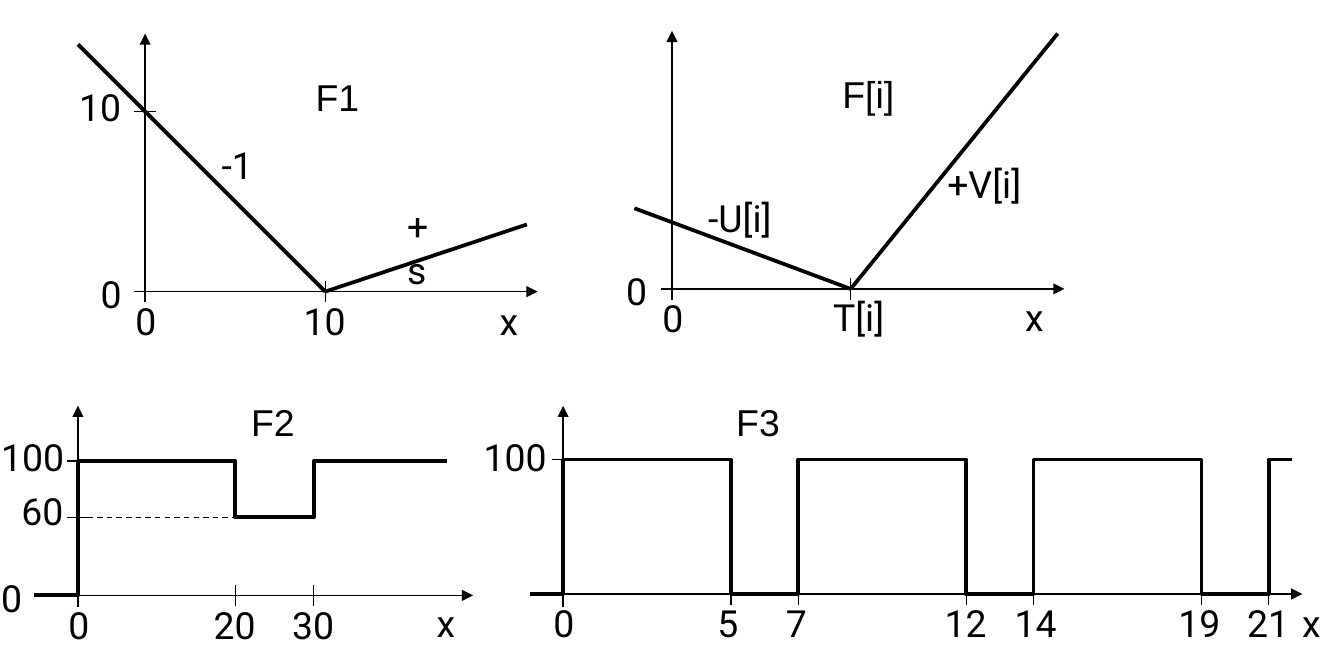
from lxml import etree
from pptx import Presentation
from pptx.dml.color import RGBColor
from pptx.enum.dml import MSO_LINE_DASH_STYLE as Dash
from pptx.enum.shapes import MSO_CONNECTOR as Connector
from pptx.enum.text import MSO_AUTO_SIZE as AutoSize
from pptx.oxml.ns import qn
from pptx.util import Cm, Pt

COLORS = {"ink": "000000", "background": "FFFFFF"}
FONT_SIZE, THIN, THICK = 20, 0.75, 2
TICK = 0.08  # half length of a tick, in inches
LABEL_HEIGHT = 0.44
NUDGES = {"0": 0.01, "5": -0.02, "7": -0.01, "14": 0.02, "19": -0.01}

# Places are in inches; ticks and curves are in the units of each plot.
# Labels are (text, left, top, width); the title is set in Arial.
PLOTS = [
    {
        "origin": (1.08, 2.17), "unit": (0.134, 0.134),
        "axis_start": (1.08, 2.17), "axis_end": (4, 0.25),
        "x_ticks": {0: "0", 10: "10"}, "y_ticks": [0, 10],
        "title": ("F1", 2.25, 0.5, 0.6),
        "labels": [("0", 0.65, 1.97, 0.36), ("10", 0.49, 0.58, 0.52),
                   ("-1", 1.55, 1.01, 0.45), ("+s", 2.93, 1.46, 0.49),
                   ("x", 3.62, 2.17, 0.34)],
        "lines": [[(10, 0), (-3.73, 13.73)], [(10, 0), (21.2, 3.73)]],
    },
    {
        "origin": (5, 2.15), "unit": (1, 1),
        "axis_start": (5, 2.15), "axis_end": (7.92, 0.23),
        "x_ticks": {0: "0", 1.33: ""}, "y_ticks": [0],
        "title": ("F[i]", 6.17, 0.48, 0.7),
        "labels": [("0", 4.56, 1.95, 0.36), ("T[i]", 6.1, 2.14, 0.61),
                   ("-U[i]", 5.17, 1.4, 0.75), ("+V[i]", 6.95, 1.15, 0.78),
                   ("x", 7.53, 2.14, 0.34)],
        "curves": [[(1.33, 0), (-0.28, 0.6)], [(1.33, 0), (2.87, 1.9)]],
    },
    {
        "origin": (0.58, 4.43), "unit": (0.0585, 0.01),
        "axis_start": (0.6, 4.52), "axis_end": (3.52, 3.02),
        "x_ticks": {0: "0", 20: "20", 30: "30"},
        "y_ticks": [0, 58, 100],  # the level marked 60 is drawn slightly lower
        "title": ("F2", 1.77, 2.92, 0.6),
        "labels": [("0", -0.09, 4.23, 0.36), ("60", 0.06, 3.58, 0.52),
                   ("100", -0.09, 3.18, 0.68), ("x", 3.15, 4.42, 0.34)],
        "dashed": [(0, 58), (20, 58)],
        "curves": [[(-5.64, 0), (0, 0), (0, 100), (20, 100), (20, 58),
                    (30, 58), (30, 100), (47, 100)]],
    },
    {
        "origin": (4.19, 4.42), "unit": (0.25, 0.01),
        "axis_start": (4.21, 4.52), "axis_end": (9.69, 3.02),
        "x_ticks": {value: str(value) for value in (0, 5, 7, 12, 14, 19, 21)},
        "y_ticks": [0, 100],
        "title": ("F3", 5.38, 2.92, 0.6),
        "labels": [("100", 3.5, 3.18, 0.68), ("x", 9.59, 4.42, 0.34)],
        "curves": [[(-1, 0)]
                   + [(start + dx, y) for start in (0, 7, 14)
                      for dx, y in ((0, 0), (0, 100), (5, 100), (5, 0))]
                   + [(21, 0), (21, 100), (21.68, 100)]],
    },
]


def inches(value):
    return Cm(value * 2.54)


def color(name):
    return RGBColor.from_string(COLORS[name])


def add_line(start, end, width=THIN, arrow=False, dashed=False):
    line = slide.shapes.add_connector(
        Connector.STRAIGHT, *(inches(value) for value in (*start, *end)))
    line.line.color.rgb = color("ink")
    line.line.width = Pt(width)
    if dashed:
        line.line.dash_style = Dash.DASH
    properties = line._element.spPr
    if arrow:
        etree.SubElement(properties.find(qn("a:ln")), qn("a:tailEnd"), type="triangle")
    etree.SubElement(properties, qn("a:effectLst"))


def add_curve(points):
    corners = [(inches(x), inches(y)) for x, y in points]
    builder = slide.shapes.build_freeform(*corners[0])
    builder.add_line_segments(corners[1:], close=False)
    shape = builder.convert_to_shape()
    shape.shadow.inherit = False
    shape.fill.background()
    shape.line.color.rgb = color("ink")
    shape.line.width = Pt(THICK)


def add_label(text, left, top, width, font="Roboto"):
    box = slide.shapes.add_textbox(
        *(inches(value) for value in (left, top, width, LABEL_HEIGHT)))
    frame = box.text_frame
    frame.word_wrap = text == "+s"  # the only label that breaks in two
    frame.auto_size = AutoSize.NONE if frame.word_wrap else AutoSize.SHAPE_TO_FIT_TEXT
    run = frame.paragraphs[0].add_run()
    run.text = text
    run.font.name = font
    run.font.size = Pt(FONT_SIZE)
    run.font.color.rgb = color("ink")


def draw_plot(plot):
    origin_x, origin_y = plot["origin"]
    unit_x, unit_y = plot["unit"]

    def place(point):
        return origin_x + point[0] * unit_x, origin_y - point[1] * unit_y

    # Axes
    start_x, start_y = plot["axis_start"]
    end_x, end_y = plot["axis_end"]
    add_line((start_x, origin_y), (end_x, origin_y), arrow=True)
    add_line((origin_x, start_y), (origin_x, end_y), arrow=True)

    # Ticks, with the horizontal values centred below them
    for value, text in plot["x_ticks"].items():
        x, y = place((value, 0))
        if value or start_y == origin_y:
            add_line((x, y - TICK), (x, y + TICK))
        if text:
            width = 0.2 + 0.16 * len(text)
            add_label(text, x - width / 2 + NUDGES.get(text, 0), y, width)
    for value in plot["y_ticks"]:
        x, y = place((0, value))
        add_line((x - TICK, y), (x + TICK, y))

    # Function graph
    if "dashed" in plot:
        add_line(*map(place, plot["dashed"]), dashed=True)
    for ends in plot.get("lines", []):
        add_line(*map(place, ends), width=THICK)
    for points in plot.get("curves", []):
        add_curve(map(place, points))

    # Title and remaining labels
    add_label(*plot["title"], font="Arial")
    for label in plot["labels"]:
        add_label(*label)


presentation = Presentation()
presentation.slide_width, presentation.slide_height = inches(10), inches(5)
slide = presentation.slides.add_slide(presentation.slide_layouts[6])
slide.background.fill.solid()
slide.background.fill.fore_color.rgb = color("background")
for plot in PLOTS:
    draw_plot(plot)
presentation.save("out.pptx")
